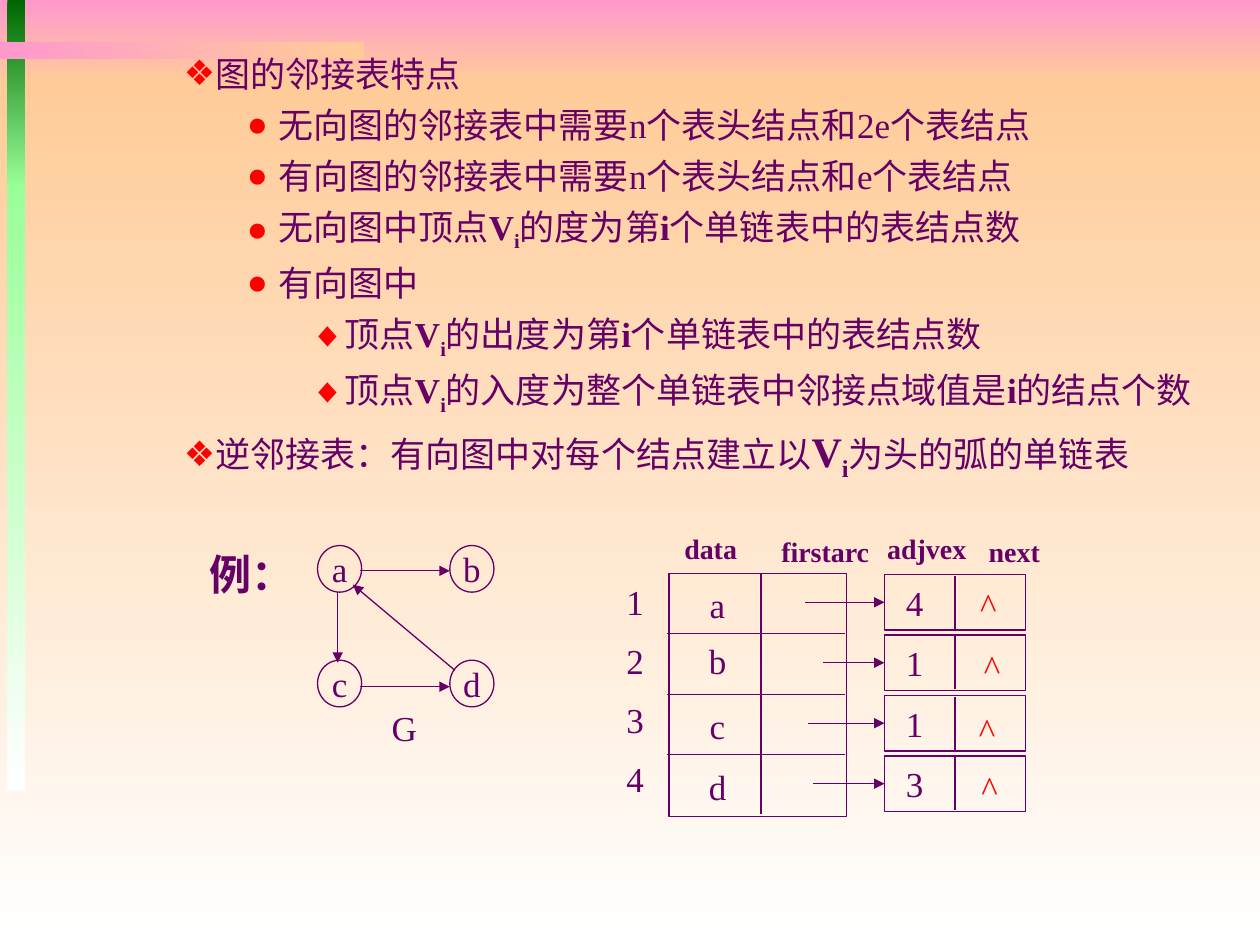
from lxml import etree
from pptx import Presentation
from pptx.dml.color import RGBColor
from pptx.enum import shapes as es, text as et
from pptx.oxml import ns
from pptx.util import Inches, Pt

PLUM = RGBColor(0x66, 0x00, 0x66)
RED = RGBColor(0xFF, 0x00, 0x00)
PINK = RGBColor(0xFF, 0x99, 0xCC)
PEACH = RGBColor(0xFF, 0xCC, 0x99)
WHITE = RGBColor(0xFF, 0xFF, 0xFF)
GREEN = RGBColor(0x00, 0x66, 0x00)
LIME = RGBColor(0x99, 0xFF, 0x99)
SERIF = "Times New Roman"

# left, top, width, height, start colour, end colour, angle
BANDS = [
    (0, 0, 10, 0.67, PINK, PEACH, 270),
    (0, 0.67, 10, 6.83, PEACH, WHITE, 270),
    (0.06, 0, 0.14, 1.48, GREEN, LIME, 270),
    (0.06, 1.46, 0.14, 4.81, LIME, WHITE, 270),
    (0, 0.33, 2.89, 0.14, PINK, PEACH, 0),
]

# level -> bullet, left margin
BULLETS = {1: ("❖", 1.25), 2: ("●", 1.75), 3: ("◆", 2.25)}

# run style -> font, size, bold, subscript
STYLES = {
    "han": ("Arial", 20, False, False),
    "num": (SERIF, 20, False, False),
    "var": (SERIF, 20, True, False),
    "sub": (SERIF, 20, True, True),
    "big": (SERIF, 24, True, False),
    "bigsub": (SERIF, 24, True, True),
}
VI = [("V", "var"), ("i", "sub")]
I = ("i", "var")
POINTS = [
    (1, [("图的邻接表特点", "han")]),
    (2, [("无向图的邻接表中需要", "han"), ("n", "num"), ("个表头结点和", "han"),
         ("2e", "num"), ("个表结点", "han")]),
    (2, [("有向图的邻接表中需要", "han"), ("n", "num"), ("个表头结点和", "han"),
         ("e", "num"), ("个表结点", "han")]),
    (2, [("无向图中顶点", "han"), *VI, ("的度为第", "han"), I,
         ("个单链表中的表结点数", "han")]),
    (2, [("有向图中", "han")]),
    (3, [("顶点", "han"), *VI, ("的出度为第", "han"), I,
         ("个单链表中的表结点数", "han")]),
    (3, [("顶点", "han"), *VI, ("的入度为整个单链表中邻接点域值是", "han"), I,
         ("的结点个数", "han")]),
    (1, [("逆邻接表：有向图中对每个结点建立以", "han"), ("V", "big"),
         ("i", "bigsub"), ("为头的弧的单链表", "han")]),
]

VERTS = {"a": (2.52, 4.33), "b": (3.57, 4.33), "c": (2.52, 5.24), "d": (3.57, 5.24)}
ARCS = [(2.86, 4.53, 3.57, 4.53), (2.86, 5.45, 3.57, 5.45),
        (2.68, 4.7, 2.68, 5.26), (3.61, 5.32, 2.8, 4.64)]

# text, left, top, width
HEADS = [("data", 5.33, 4.17, 0.62), ("firstarc", 6.1, 4.19, 0.9),
         ("adjvex", 6.94, 4.17, 0.83), ("next", 7.75, 4.19, 0.6)]
# vertex, its text top, adjacent vertex, arrow start, mark left, mark top
ROWS = [("a", 4.58, "4", 6.39, 7.68, 4.58), ("b", 5.02, "1", 6.53, 7.71, 5.07),
        ("c", 5.54, "1", 6.41, 7.67, 5.57), ("d", 6.02, "3", 6.45, 7.69, 6.03)]


def box(*nums):
    return [Inches(n) for n in nums]


def band(slide, left, top, width, height, start, end, angle):
    shape = slide.shapes.add_shape(es.MSO_SHAPE.RECTANGLE, *box(left, top, width, height))
    shape.shadow.inherit = False
    shape.line.fill.background()
    shape.fill.gradient()
    shape.fill.gradient_angle = angle
    for stop, color in zip(shape.fill.gradient_stops, (start, end)):
        stop.color.rgb = color


def write(shape, words, size=20, bold=False, color=PLUM,
          align=et.PP_ALIGN.CENTER, inset=0):
    frame = shape.text_frame
    frame.word_wrap = False
    frame.vertical_anchor = et.MSO_ANCHOR.MIDDLE
    frame.margin_left, frame.margin_right = box(inset, 0)
    para = frame.paragraphs[0]
    para.alignment = align
    run = para.add_run()
    run.text = words
    font = run.font
    font.name, font.size, font.bold = SERIF, Pt(size), bold
    font.color.rgb = color


def label(slide, words, left, top, width, height=0.44, **style):
    write(slide.shapes.add_textbox(*box(left, top, width, height)), words, **style)


def outline(slide, kind, left, top, width, height):
    shape = slide.shapes.add_shape(kind, *box(left, top, width, height))
    shape.shadow.inherit = False
    shape.fill.background()
    shape.line.color.rgb = PLUM
    shape.line.width = Pt(0.75)
    return shape


def line(slide, x1, y1, x2, y2, arrow=False):
    link = slide.shapes.add_connector(es.MSO_CONNECTOR.STRAIGHT, *box(x1, y1, x2, y2))
    link.line.color.rgb = PLUM
    link.line.width = Pt(0.75)
    if arrow:
        tail = etree.SubElement(link.line._get_or_add_ln(), ns.qn("a:tailEnd"))
        tail.set("type", "triangle")
    etree.SubElement(link._element.spPr, ns.qn("a:effectLst"))
    return link


def bullet(para, mark, margin):
    props = para._p.get_or_add_pPr()
    props.set("marL", str(Inches(margin)))
    props.set("indent", str(Inches(-0.25)))
    color = etree.SubElement(props, ns.qn("a:buClr"))
    etree.SubElement(color, ns.qn("a:srgbClr")).set("val", str(RED))
    etree.SubElement(props, ns.qn("a:buChar")).set("char", mark)


def fill_body(body):
    body.left, body.top, body.width, body.height = box(0.36, 0.37, 9.3, 3.78)
    frame = body.text_frame
    frame.word_wrap = True
    frame.auto_size = et.MSO_AUTO_SIZE.NONE
    frame.vertical_anchor = et.MSO_ANCHOR.TOP
    for i, (level, runs) in enumerate(POINTS):
        para = frame.add_paragraph() if i else frame.paragraphs[0]
        para.level = level
        para.line_spacing = 1.0
        para.space_before = Pt(5 if i else 0)
        bullet(para, *BULLETS[level])
        for words, style in runs:
            run = para.add_run()
            run.text = words
            name, size, bold, sub = STYLES[style]
            run.font.name, run.font.size, run.font.bold = name, Pt(size), bold
            run.font.color.rgb = PLUM
            if sub:
                run.font._element.set("baseline", "-25000")


def draw_graph(slide):
    label(slide, "例：", 1.57, 4.3, 0.86, 0.5, size=24, bold=True)
    label(slide, "G", 3.01, 5.55, 0.4)
    for name, (left, top) in VERTS.items():
        write(outline(slide, es.MSO_SHAPE.OVAL, left, top, 0.35, 0.37), name)
    for arc in ARCS:
        line(slide, *arc, arrow=True)


def draw_lists(slide):
    rect = es.MSO_SHAPE.RECTANGLE
    outline(slide, rect, 5.31, 4.55, 1.41, 1.93)
    line(slide, 6.04, 4.55, 6.04, 6.46)
    for words, left, top, width in HEADS:
        label(slide, words, left, top, width, 0.37, size=16, bold=True)
    for i, (name, top, adj, start, left, high) in enumerate(ROWS):
        y = 4.56 + 0.48 * i
        if i:
            line(slide, 5.29, y - 0.01, 6.71, y - 0.01)
        label(slide, str(i + 1), 4.87, 4.55 + 0.47 * i, 0.34)
        label(slide, name, 5.53, top, 0.33)
        node = outline(slide, rect, 7.02, y, 1.12, 0.44)
        write(node, adj, align=et.PP_ALIGN.LEFT, inset=0.17)
        line(slide, 7.58, y + 0.01, 7.58, y + 0.43)
        mid = y + 0.22
        line(slide, start, mid, 7.02, mid, arrow=True).end_connect(node, 1)
        label(slide, "^", left, high, 0.33, color=RED)


def main():
    deck = Presentation()
    deck.slide_width, deck.slide_height = box(10, 7.5)
    slide = deck.slides.add_slide(deck.slide_layouts[1])
    title, body = slide.placeholders
    tree = slide.shapes._spTree
    tree.remove(title._element)
    for item in BANDS:
        band(slide, *item)
    tree.append(body._element)  # the text goes in front of the bands
    fill_body(body)
    draw_graph(slide)
    draw_lists(slide)
    deck.save("out.pptx")


if __name__ == "__main__":
    main()
